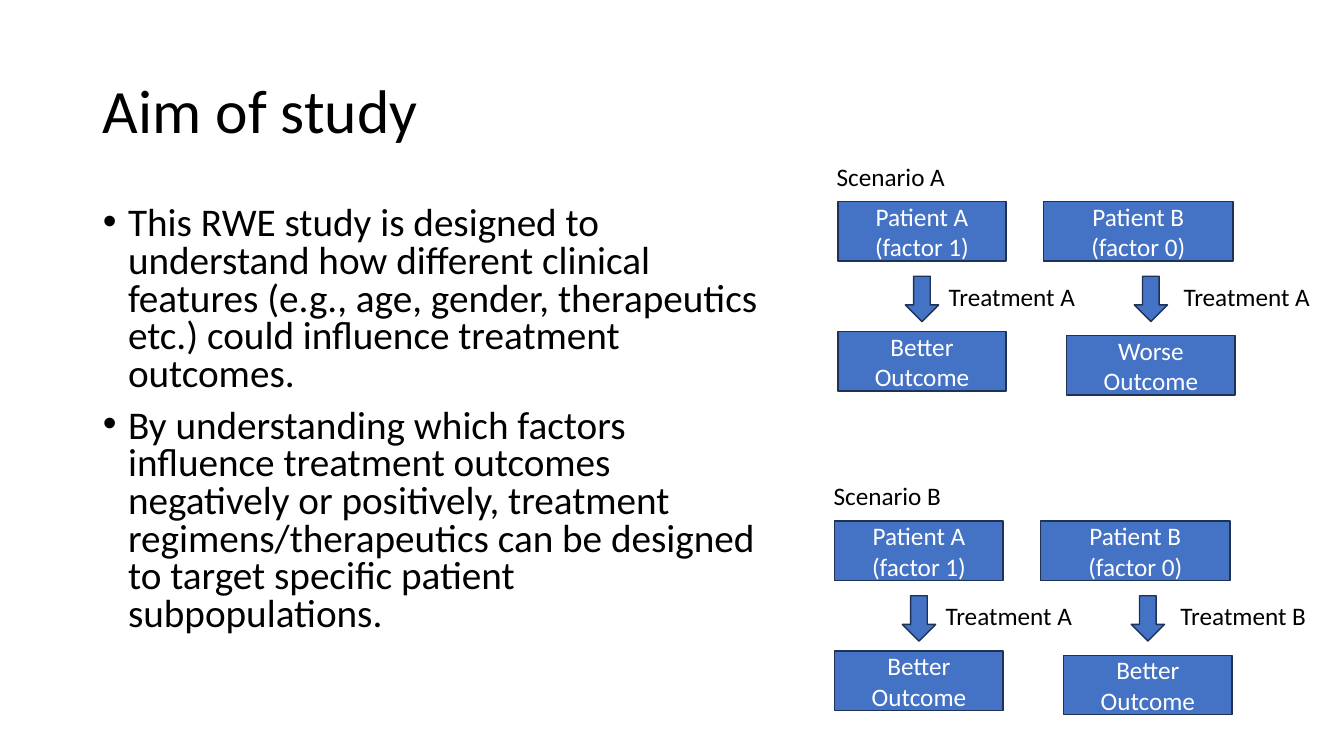
from pptx import Presentation
from pptx.dml.color import RGBColor
from pptx.enum.shapes import MSO_SHAPE
from pptx.enum.text import MSO_ANCHOR, MSO_AUTO_SIZE, PP_ALIGN
from pptx.oxml.xmlchemy import OxmlElement
from pptx.util import Inches, Pt

BLACK = RGBColor(0x00, 0x00, 0x00)
WHITE = RGBColor(0xFF, 0xFF, 0xFF)
BLUE = RGBColor(0x44, 0x72, 0xC4)
NAVY = RGBColor(0x1E, 0x32, 0x56)

AIMS = [
    "This RWE study is designed to understand how different clinical features "
    "(e.g., age, gender, therapeutics etc.) could influence treatment outcomes.",
    "By understanding which factors influence treatment outcomes negatively or "
    "positively, treatment regimens/therapeutics can be designed to target "
    "specific patient subpopulations.",
]
SCENARIOS = [
    ("Scenario A", 8.31, 2, ["Treatment A", "Treatment A"],
     ["Better Outcome", "Worse Outcome"]),
    ("Scenario B", 8.28, 5.17, ["Treatment A", "Treatment B"],
     ["Better Outcome", "Better Outcome"]),
]
PATIENTS = [["Patient A", "(factor 1)"], ["Patient B", "(factor 0)"]]
COLUMNS = [
    {"patient": (0, 1.67), "arrow": 0.67, "treatment": 1, "outcome": (0, 1.29)},
    {"patient": (2.04, 1.88), "arrow": 2.94, "treatment": 3.33, "outcome": (2.27, 1.33)},
]


class SlideBuilder:
    font = "Calibri"

    def __init__(self, prs):
        self.s = prs.slides.add_slide(prs.slide_layouts[1])
        self.shapes = self.s.shapes

    def start_group(self):
        self.shapes = self.s.shapes.add_group_shape().shapes

    def add_lines(self, tf, lines, size, color, align=PP_ALIGN.LEFT):
        for i, line in enumerate(lines):
            p = tf.add_paragraph() if i else tf.paragraphs[0]
            p.alignment = align
            r = p.add_run()
            r.text = line
            r.font.name = self.font
            r.font.size = Pt(size)
            r.font.color.rgb = color

    def fill_placeholder(self, sp, box, lines, size, anchor, line_spacing):
        sp.left, sp.top, sp.width, sp.height = [Inches(v) for v in box]
        tf = sp.text_frame
        tf.word_wrap = True
        tf.auto_size = MSO_AUTO_SIZE.NONE
        tf.vertical_anchor = anchor
        self.add_lines(tf, lines, size, BLACK)
        for p in tf.paragraphs:
            p.line_spacing = line_spacing
        return tf

    def title(self, text):
        self.fill_placeholder(self.s.shapes.title, (0.92, 0.4, 11.5, 1.45),
                              [text], 44, MSO_ANCHOR.MIDDLE, 0.9)

    def bullets(self, items):
        tf = self.fill_placeholder(self.s.placeholders[1], (0.92, 2, 6.73, 4.76),
                                   items, 28, MSO_ANCHOR.TOP, 0.8)
        for p in tf.paragraphs:
            p.space_before = Pt(10)
            pPr = p._p.get_or_add_pPr()
            pPr.set("marL", str(Inches(0.25)))
            pPr.set("indent", str(Inches(-0.25)))
            font = OxmlElement("a:buFont")
            font.set("typeface", "Arial")
            bullet = OxmlElement("a:buChar")
            bullet.set("char", "•")
            pPr.extend([font, bullet])

    def shape(self, kind, x, y, w, h):
        sp = self.shapes.add_shape(kind, Inches(x), Inches(y), Inches(w), Inches(h))
        sp.shadow.inherit = False
        sp.fill.solid()
        sp.fill.fore_color.rgb = BLUE
        sp.line.color.rgb = NAVY
        sp.line.width = Pt(1)
        return sp

    def box(self, x, y, w, lines):
        tf = self.shape(MSO_SHAPE.RECTANGLE, x, y, w, 0.59).text_frame
        tf.word_wrap = True
        tf.vertical_anchor = MSO_ANCHOR.MIDDLE
        self.add_lines(tf, lines, 18, WHITE, PP_ALIGN.CENTER)

    def arrow(self, x, y):
        self.shape(MSO_SHAPE.DOWN_ARROW, x, y, 0.33, 0.45)

    def label(self, x, y, text):
        sp = self.shapes.add_textbox(Inches(x), Inches(y), Inches(1.55), Inches(0.4))
        tf = sp.text_frame
        tf.word_wrap = True
        tf.auto_size = MSO_AUTO_SIZE.SHAPE_TO_FIT_TEXT
        self.add_lines(tf, [text], 18, BLACK)

    def scenario(self, name, x, y, treatments, outcomes):
        self.start_group()
        self.label(x - 0.11, y - 0.45, name)
        for col, patient, treatment, outcome in zip(COLUMNS, PATIENTS, treatments, outcomes):
            dx, width = col["patient"]
            self.box(x + dx, y, width, patient)
            self.arrow(x + col["arrow"], y + 0.74)
            self.label(x + col["treatment"], y + 0.74, treatment)
            dx, dy = col["outcome"]
            self.box(x + dx, y + dy, 1.67, [outcome])


def main():
    prs = Presentation()
    prs.slide_width = Inches(13.33)
    prs.slide_height = Inches(7.5)
    builder = SlideBuilder(prs)
    builder.title("Aim of study")
    builder.bullets(AIMS)
    for scenario in SCENARIOS:
        builder.scenario(*scenario)
    prs.save("out.pptx")


if __name__ == "__main__":
    main()
